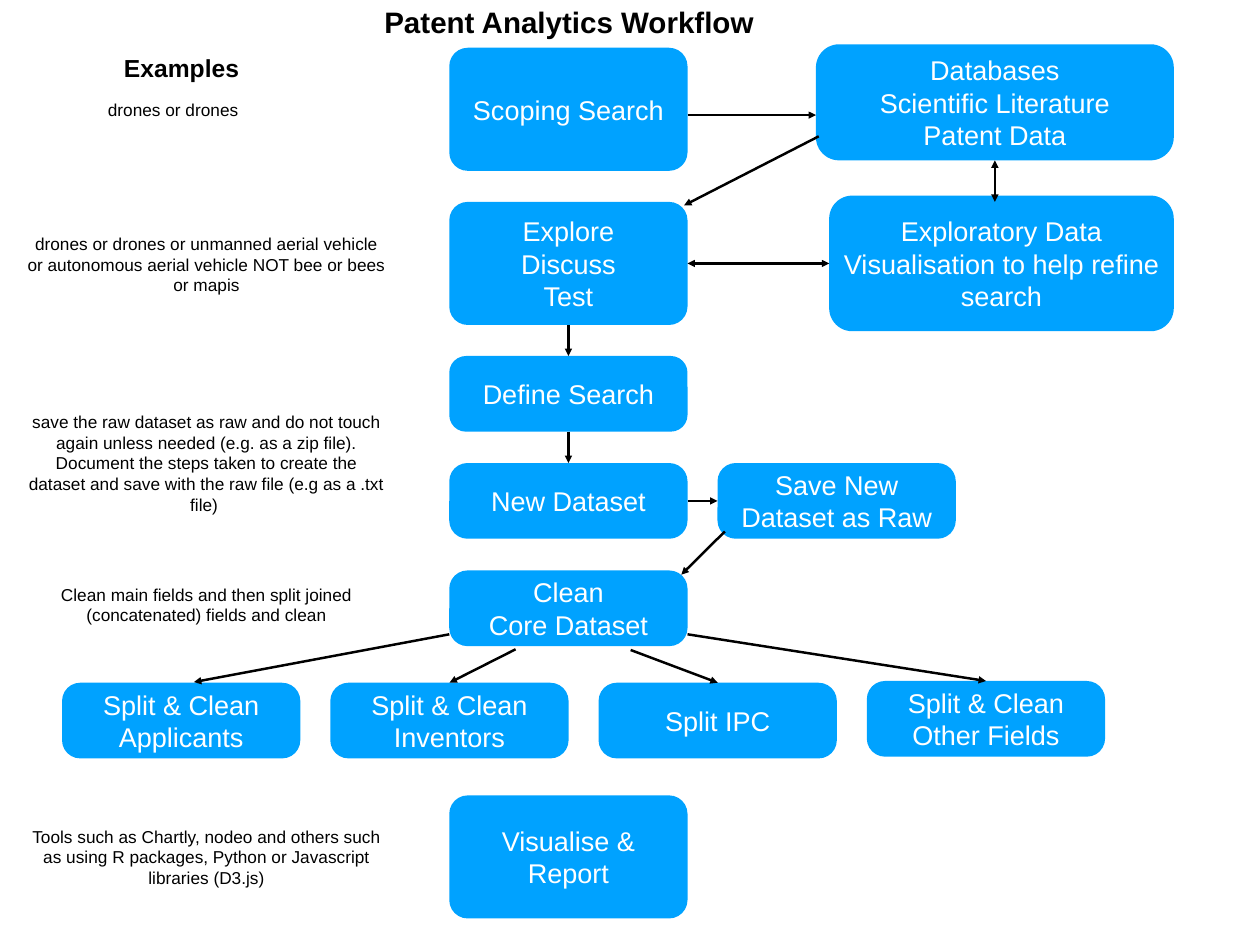
from lxml import etree
from pptx import Presentation
from pptx.dml.color import RGBColor
from pptx.enum import shapes, text
from pptx.oxml.ns import qn
from pptx.util import Cm, Pt

BLUE = RGBColor(0x00, 0xA2, 0xFF)
WHITE = RGBColor(0xFF, 0xFF, 0xFF)
BLACK = RGBColor(0x00, 0x00, 0x00)

FRAME = {
    "margin_left": Cm(0.15), "margin_right": Cm(0.15),
    "margin_top": Cm(0.15), "margin_bottom": Cm(0.15),
    "vertical_anchor": text.MSO_ANCHOR.MIDDLE,
    "auto_size": text.MSO_AUTO_SIZE.NONE,
}


def write(holder, wording, size, colour, bold=False, wrap=True):
    frame = holder.text_frame
    frame.text = wording
    for name, value in {**FRAME, "word_wrap": wrap}.items():
        setattr(frame, name, value)
    for paragraph in frame.paragraphs:
        paragraph.alignment = text.PP_ALIGN.CENTER
        font = paragraph.runs[0].font
        font.color.rgb = colour
        for name, value in {"name": "Arial", "size": Pt(size), "bold": bold}.items():
            setattr(font, name, value)


deck = Presentation()
deck.slide_width, deck.slide_height = Cm(36.12), Cm(27.1)
slide = deck.slides.add_slide(deck.slide_layouts[5])

# Title
title = slide.shapes.title
for name, value in {"left": 10.85, "top": 0, "width": 10.92, "height": 1.27}.items():
    setattr(title, name, Cm(value))
write(title, "Patent Analytics Workflow", 24, BLACK, bold=True, wrap=False)

# Workflow steps: left, top, width, height, corner, wording
MAIN, WIDE, TALL, SHORT = 12.88, 6.83, 3.53, 2.17
SPLIT_LEFT, SPLIT_STEP, SPLIT_TOP = 1.78, 7.69, 19.58
steps = {
    "scoping": (MAIN, 1.37, WIDE, TALL, 0.15, "Scoping Search"),
    "databases": (23.39, 1.27, 10.26, 3.33, 0.2,
                  "Databases\nScientific Literature\nPatent Data"),
    "explore": (MAIN, 5.79, WIDE, TALL, 0.15, "Explore\nDiscuss\nTest"),
    "visualisation": (23.77, 5.61, 9.88, 3.89, 0.17,
                      "Exploratory Data Visualisation to help refine search"),
    "define": (MAIN, 10.21, WIDE, SHORT, 0.22, "Define Search"),
    "dataset": (MAIN, 13.28, WIDE, SHORT, 0.24, "New Dataset"),
    "clean": (MAIN, 16.36, WIDE, SHORT, 0.24, "Clean\nCore Dataset"),
    "raw": (20.57, 13.28, WIDE, SHORT, 0.24, "Save New Dataset as Raw"),
    "report": (MAIN, 22.81, WIDE, TALL, 0.15, "Visualise & Report"),
}
splits = [
    ("applicants", "Split & Clean Applicants", SPLIT_TOP),
    ("inventors", "Split & Clean Inventors", SPLIT_TOP),
    ("ipc", "Split IPC", SPLIT_TOP),
    ("other", "Split & Clean Other Fields", SPLIT_TOP - 0.05),
]
for column, (key, wording, top) in enumerate(splits):
    steps[key] = (SPLIT_LEFT + column * SPLIT_STEP, top, WIDE, SHORT, 0.24, wording)

boxes = {}
for key, (left, top, width, height, corner, wording) in steps.items():
    box = slide.shapes.add_shape(shapes.MSO_SHAPE.ROUNDED_RECTANGLE,
                                 Cm(left), Cm(top), Cm(width), Cm(height))
    box.adjustments[0] = corner
    box.shadow.inherit = False
    box.fill.solid()
    box.fill.fore_color.rgb = BLUE
    box.line.fill.background()
    write(box, wording, 22, WHITE)
    boxes[key] = box

# Arrows: each end is a point, or a step and the side it joins
TOP, LEFT, BOTTOM, RIGHT = range(4)
ONE_WAY, BOTH_WAYS = ["tailEnd"], ["headEnd", "tailEnd"]
arrows = [
    ((19.71, 3.3), (23.39, 3.3), ONE_WAY),
    ((23.47, 3.91), (19.61, 5.89), ONE_WAY),
    (("explore", RIGHT), ("visualisation", LEFT), BOTH_WAYS),
    (("explore", BOTTOM), ("define", TOP), ONE_WAY),
    (("databases", BOTTOM), (28.52, 5.79), BOTH_WAYS),
    (("define", BOTTOM), ("dataset", TOP), ONE_WAY),
    (("dataset", RIGHT), ("raw", LEFT), ONE_WAY),
    ((20.78, 15.24), (19.53, 16.48), ONE_WAY),
    ((12.88, 18.19), (5.56, 19.56), ONE_WAY),
    ((14.78, 18.62), ("inventors", TOP), ONE_WAY),
    ((18.08, 18.64), ("ipc", TOP), ONE_WAY),
    ((19.71, 18.19), ("other", TOP), ONE_WAY),
]
for start, finish, heads in arrows:
    points = [(0, 0) if end[0] in boxes else end for end in (start, finish)]
    arrow = slide.shapes.add_connector(shapes.MSO_CONNECTOR.STRAIGHT,
                                       *(Cm(value) for point in points for value in point))
    for end, join in ((start, arrow.begin_connect), (finish, arrow.end_connect)):
        if end[0] in boxes:
            join(boxes[end[0]], end[1])
    arrow.line.color.rgb = BLACK
    arrow.line.width = Pt(2)
    for head in heads:
        etree.SubElement(arrow.line._get_or_add_ln(), qn("a:" + head), type="triangle")
    etree.SubElement(arrow._element.spPr, qn("a:effectLst"))

# Examples column: left, top, width, height, wording, size, bold, wrap
NOTE_LEFT, NOTE_WIDTH = 0.61, 10.62
notes = [
    (3.4, 1.37, 3.61, 1.14, "Examples", 20, True, False),
    (2.92, 2.72, 4.09, 0.84, "drones or drones", 14, False, False),
    (NOTE_LEFT, 6.6, NOTE_WIDTH, 1.96,
     "drones or drones or unmanned aerial vehicle or autonomous aerial vehicle "
     "NOT bee or bees or mapis", 14, False, True),
    (NOTE_LEFT, 11.73, NOTE_WIDTH, 3.1,
     "save the raw dataset as raw and do not touch again unless needed "
     "(e.g. as a zip file). Document the steps taken to create the dataset "
     "and save with the raw file (e.g as a .txt file) ", 14, False, True),
    (NOTE_LEFT, 16.64, NOTE_WIDTH, 1.4,
     "Clean main fields and then split joined (concatenated) fields and clean",
     14, False, True),
    (NOTE_LEFT, 23.6, NOTE_WIDTH, 1.96,
     "Tools such as Chartly, nodeo and others such as using R packages, "
     "Python or Javascript libraries (D3.js)", 14, False, True),
]
for left, top, width, height, wording, size, bold, wrap in notes:
    note = slide.shapes.add_textbox(Cm(left), Cm(top), Cm(width), Cm(height))
    write(note, wording, size, BLACK, bold, wrap)

deck.save("out.pptx")
